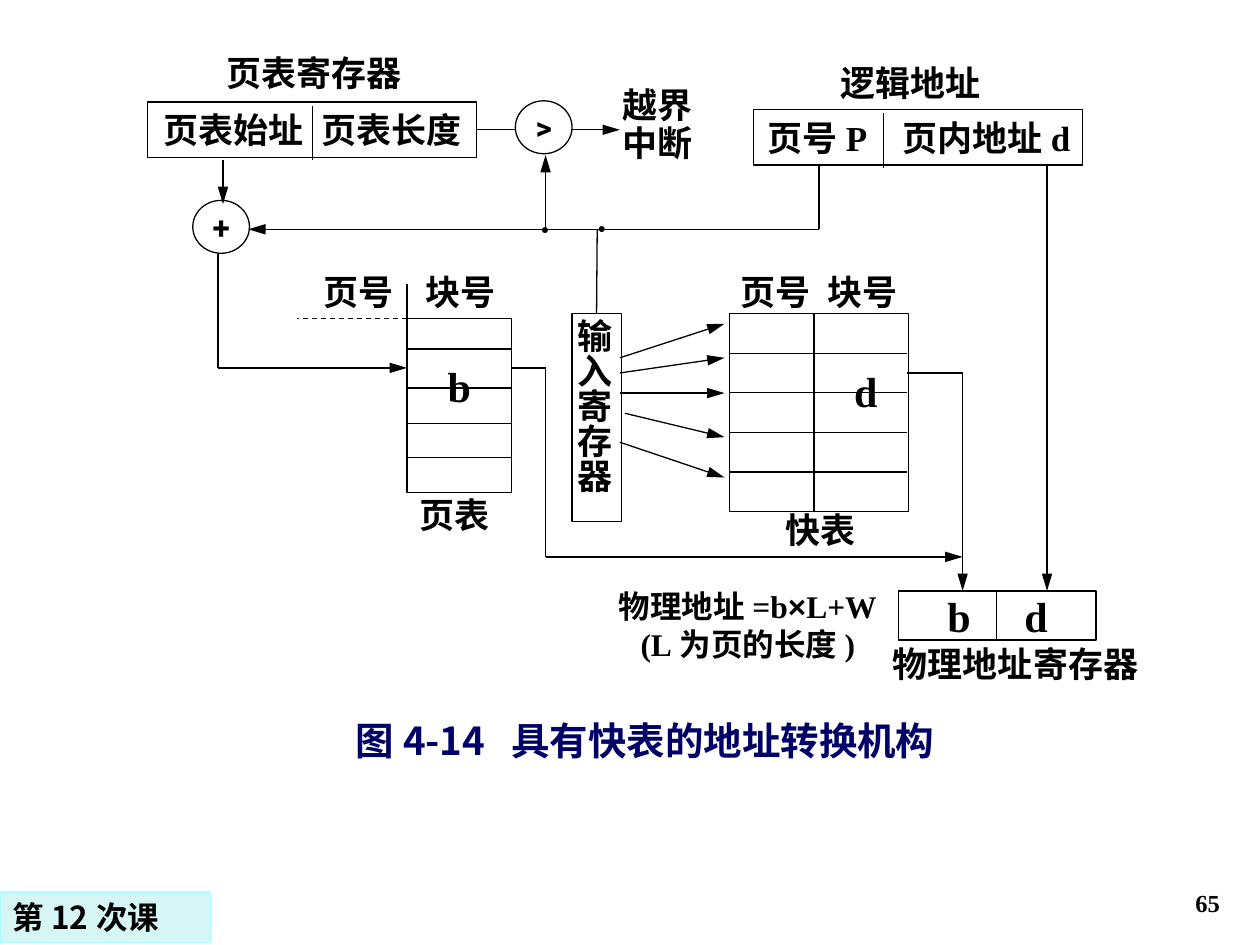
from lxml import etree
from pptx import Presentation
from pptx import util as u
from pptx.dml.color import RGBColor
from pptx.enum import dml, shapes, text
from pptx.oxml.ns import qn

THEME = dict(ink="000000", paper="FFFFFF", title="000066", tag="D6F5F5", edge="ADFFFF",
             sans="Roboto", serif="Times New Roman", cjk="Noto Sans CJK SC", sign="Arial",
             label=20, cell=24, head=22, note=18, small=14, line=0.75)
RECT, OVAL = shapes.MSO_SHAPE.RECTANGLE, shapes.MSO_SHAPE.OVAL

# Boxes: name, place, words, format. A tab separates the two halves of a cell row.
BOXES = [
    ("reg", (1.17, .81, 2.61, .44), "页表始址\t页表长度", dict(left=.13, tab=1.25)),
    ("logic", (5.98, .87, 2.61, .44),
     [[("页号", "sans"), ("P\t", "serif"), ("页内地址", "sans"), ("d", "serif")]],
     dict(left=.11, tab=1.07)),
    ("more", (4.09, .8, .45, .42), ">", dict(form=OVAL, size="note", ins=(.06, 0, .06, 0))),
    ("plus", (1.53, 1.59, .45, .42), "+", dict(form=OVAL, size="note", ins=(.06, 0, .06, 0))),
    ("pages", (3.23, 2.53, .83, 1.38), "b",
     dict(fill="paper", font="serif", size="cell", anchor="TOP", ins=(.1, .33, .1, 0))),
    ("input", (4.54, 2.49, .39, 1.65), "输入寄存器",
     dict(vert=True, anchor="TOP", ins=(.05, .04, .05, .02))),
    ("fast", (5.79, 2.49, 1.42, 1.57), "d",
     dict(fill="paper", font="serif", size="cell", anchor="TOP", ins=(.84, .41, .1, 0))),
    ("phys", (7.13, 4.69, 1.57, .39), "b\td",
     dict(fill="paper", font="serif", size="cell", left=.39, tab=.61)),
]

# Labels: place, words, format
LABELS = [
    ((4.77, .65, .9, .7), "越界中断", dict(space=.9)),
    ((1.57, .36, 1.85, .44), "页表寄存器", {}),
    ((6.3, .44, 1.85, .44), "逻辑地址", {}),
    ((2.36, 2.1, 1.77, .44), "页号\t块号", dict(left=.21, tab=.81)),
    ((5.67, 2.1, 1.65, .44), "页号\t块号", dict(left=.21, tab=.69)),
    ((3.15, 3.87, .91, .44), "页表", {}),
    ((6.06, 3.99, .91, .44), "快表", {}),
    ((6.97, 5.05, 2.18, .44), "物理地址寄存器", {}),
    ((4.13, 1.71, .39, .23), "•", dict(size="small", ins=(0, 0, 0, 0))),
    ((4.57, 1.7, .39, .23), "•", dict(size="small", ins=(.02, 0, 0, 0))),
    ((2.32, 5.64, 5.59, .47), "图4-14\t具有快表的地址转换机构",
     dict(fill="paper", font="cjk", size="head", ink="title", left=.5, tab=1.24)),
    ((4.86, 4.65, 2.15, .68),
     [[("物理地址=b", "serif"), ("×", "sign"), ("L+W", "serif")], [("(L为页的长度)", "serif")]],
     dict(fill="paper", size="note", ins=(0, .01, 0, .01))),
    ((0, 7.08, 1.67, .4), "第12次课",
     dict(form=RECT, fill="tag", edge="edge", font="cjk", size="note", align="LEFT")),
    ((7.7, 6.83, 2.08, .5), "65",
     dict(font="serif", size="small", align="RIGHT", anchor="BOTTOM")),
]

# Wires: points along the way; arrows point at the last one
PLAIN = [[(2.48, .84), (2.48, 1.27)], [(7.01, .9), (7.01, 1.33)],
         [(3.23, 2.53), (3.23, 2.25)], [(6.46, 2.49), (6.46, 4.06)],
         [(7.91, 4.69), (7.91, 5.09)]]
ARROWS = [
    [(1.77, 1.27), (1.77, 1.62)],
    [(6.5, 1.31), (6.5, 1.82), (1.97, 1.82)],
    [(4.33, 1.82), (4.33, 1.23)],
    [(4.53, 1.03), (4.92, 1.03)],
    [(1.73, 2.02), (1.73, 2.92), (3.23, 2.92)],
    [(7.2, 2.96), (7.64, 2.96), (7.64, 4.69)],
    [(4.06, 2.92), (4.33, 2.92), (4.33, 4.42), (7.64, 4.42)],
    [(8.31, 1.31), (8.31, 4.69)],
]
FAN = [(4.92, 2.84, 2.57), (4.92, 2.96, 2.84), (4.92, 3.12, 3.12),
       (4.96, 3.28, 3.47), (4.92, 3.51, 3.79)]
ROWS = [2.77, 3.08, 3.36, 3.63]

deck = Presentation()
deck.slide_width, deck.slide_height = u.Inches(10), u.Inches(7.5)
page = deck.slides.add_slide(deck.slide_layouts[6])


def tint(key):
    return RGBColor.from_string(THEME[key])


def write(frame, words, fmt):
    tab = fmt.get("tab")
    ins = fmt.get("ins", (fmt.get("left", .1), .05, 0 if tab else .1, .05))
    sides = ("margin_left", "margin_top", "margin_right", "margin_bottom")
    for side, gap in zip(sides, ins):
        setattr(frame, side, u.Inches(gap))
    frame.word_wrap = True
    frame.vertical_anchor = getattr(text.MSO_ANCHOR, fmt.get("anchor", "TOP"))
    if isinstance(words, str):
        words = [[(words, fmt.get("font", "sans"))]]
    for i, runs in enumerate(words):
        para = frame.add_paragraph() if i else frame.paragraphs[0]
        para.alignment = getattr(text.PP_ALIGN, "LEFT" if tab else fmt.get("align", "CENTER"))
        if "space" in fmt:
            para.line_spacing = fmt["space"]
        if tab:
            stops = etree.SubElement(para._p.get_or_add_pPr(), qn("a:tabLst"))
            etree.SubElement(stops, qn("a:tab"), pos=str(u.Inches(tab)), algn="l")
        for words_, face in runs:
            run = para.add_run()
            run.text = words_
            look = dict(name=THEME[face], size=u.Pt(THEME[fmt.get("size", "label")]), bold=True)
            for key, value in look.items():
                setattr(run.font, key, value)
            run.font.color.rgb = tint(fmt.get("ink", "ink"))
            etree.SubElement(run._r.get_or_add_rPr(), qn("a:ea"), typeface=THEME["cjk"])


def block(place, words, fmt):
    place = [u.Inches(v) for v in place]
    if "form" in fmt:
        item = page.shapes.add_shape(fmt["form"], *place)
        item.shadow.inherit = False
        item.fill.background()
        item.line.color.rgb = tint(fmt.get("edge", "ink"))
        item.line.width = u.Pt(THEME["line"])
    else:
        item = page.shapes.add_textbox(*place)
    if "fill" in fmt:
        item.fill.solid()
        item.fill.fore_color.rgb = tint(fmt["fill"])
    write(item.text_frame, words, fmt)
    if fmt.get("vert"):
        item._element.find(".//" + qn("a:bodyPr")).set("vert", "eaVert")
    return item


def wire(start, end, arrow=False, dash=False):
    ends = [u.Inches(v) for v in (*start, *end)]
    item = page.shapes.add_connector(shapes.MSO_CONNECTOR.STRAIGHT, *ends)
    item.line.color.rgb = tint("ink")
    item.line.width = u.Pt(THEME["line"])
    if dash:
        item.line.dash_style = dml.MSO_LINE.DASH
    if arrow:
        etree.SubElement(item.line._get_or_add_ln(), qn("a:tailEnd"), type="triangle",
                         w="med", len="lg")
    etree.SubElement(item._element.spPr, qn("a:effectLst"))
    return item


# Registers, tables and operators
box = {name: block(place, words, {"form": RECT, "anchor": "MIDDLE", **fmt})
       for name, place, words, fmt in BOXES}

# Table rows
for y in ROWS:
    wire((3.23, y), (4.06, y))
for i in range(1, 5):
    y = 2.49 + i * 1.57 / 5
    wire((5.79, y), (7.2, y))

# Dividers and data paths
for start, end in PLAIN:
    wire(start, end)
wire((3.23, 2.53), (2.36, 2.53), dash=True)
for path_ in ARROWS:
    for i, (start, end) in enumerate(zip(path_, path_[1:]), 2):
        wire(start, end, arrow=i == len(path_))
for x, y, tip in FAN:
    wire((x, y), (5.75, tip), arrow=True)
wire((3.78, 1.03), (4.09, 1.03)).begin_connect(box["reg"], 3)
wire((4.74, 1.82), (4.74, 2.49)).end_connect(box["input"], 0)

# Captions, title and footer
for place, words, fmt in LABELS:
    block(place, words, fmt)

deck.save("out.pptx")
